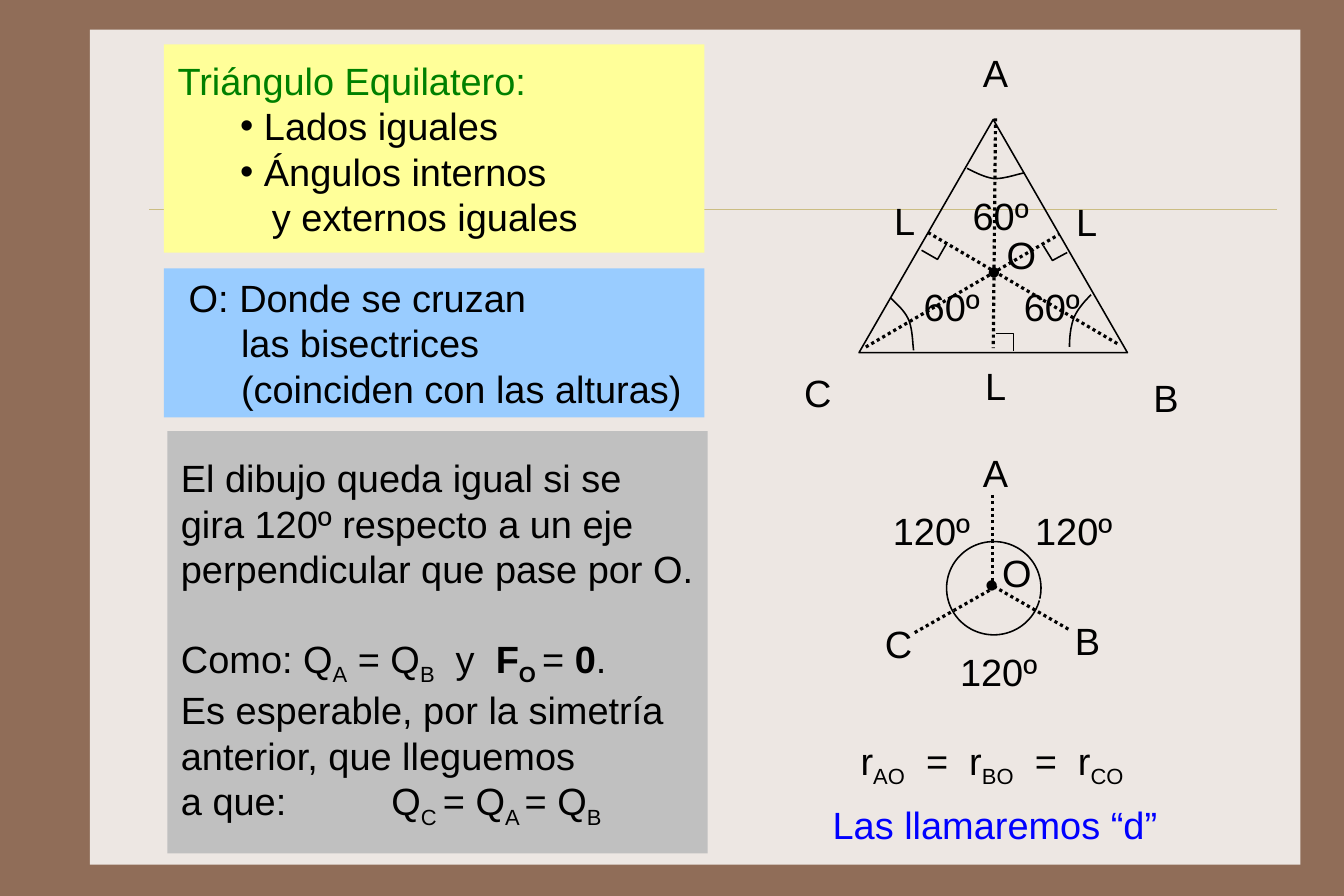
"""Build the slide on the symmetry of the equilateral triangle."""
from dataclasses import dataclass
from typing import NamedTuple, Optional

from lxml import etree
from pptx import Presentation, util as u
from pptx.dml.color import RGBColor
from pptx.enum import dml, shapes, text
from pptx.oxml import ns

BLACK = "000000"
Point = tuple[float, float]


class Run(NamedTuple):
    text: str
    sub: bool = False
    bold: bool = False


@dataclass
class Line:
    runs: list[Run]
    color: str = BLACK
    indent: float = 0
    bullet: bool = False
    tab: float = 0
    before: float = 0


@dataclass
class Panel:
    left: float
    top: float
    width: float
    height: float
    fill: str
    lines: list[Line]
    margins: Point = (0.12, 0.08)
    anchor: text.MSO_ANCHOR = text.MSO_ANCHOR.MIDDLE


class Label(NamedTuple):
    text: str
    left: float
    top: float
    width: float


class Segment(NamedTuple):
    start: Point
    end: Point


class Arc(NamedTuple):
    start: Point
    controls: list[Point]


def rgb(color: str) -> RGBColor:
    return RGBColor.from_string(color)


def outline(shape, color: str = BLACK, width: float = 1) -> None:
    shape.line.color.rgb = rgb(color)
    shape.line.width = u.Pt(width)


def add_preset(slide, kind, left, top, width, height, fill: Optional[str] = None):
    shape = slide.shapes.add_shape(kind, *map(u.Inches, (left, top, width, height)))
    shape.shadow.inherit = False
    if fill:
        shape.fill.solid()
        shape.fill.fore_color.rgb = rgb(fill)
        shape.line.fill.background()
    else:
        shape.fill.background()
        outline(shape)
    return shape


def add_line(slide, segment: Segment, color: str = BLACK, width: float = 2, dotted: bool = True) -> None:
    points = map(u.Inches, (*segment.start, *segment.end))
    connector = slide.shapes.add_connector(shapes.MSO_CONNECTOR.STRAIGHT, *points)
    outline(connector, color, width)
    if dotted:
        connector.line.dash_style = dml.MSO_LINE.ROUND_DOT
    etree.SubElement(connector._element.spPr, ns.qn("a:effectLst"))


def add_polyline(slide, points: list[Point]) -> None:
    start, *rest = [(u.Inches(x), u.Inches(y)) for x, y in points]
    builder = slide.shapes.build_freeform(*start)
    builder.add_line_segments(rest, close=False)
    shape = builder.convert_to_shape()
    shape.shadow.inherit = False
    shape.fill.background()
    outline(shape)


def curve_points(arc: Arc, steps: int = 10) -> list[Point]:
    points = [arc.start]
    for i in range(0, len(arc.controls), 3):
        knots = [points[-1], *arc.controls[i:i + 3]]
        for t in (step / steps for step in range(1, steps + 1)):
            weights = ((1 - t) ** 3, 3 * t * (1 - t) ** 2, 3 * t * t * (1 - t), t ** 3)
            x, y = (sum(w * knot[axis] for w, knot in zip(weights, knots)) for axis in (0, 1))
            points.append((x, y))
    return points


def write_text(shape, lines: list[Line], *, align=text.PP_ALIGN.LEFT, anchor=text.MSO_ANCHOR.TOP,
               margins: Point = (0.1, 0.05), wrap: bool = True) -> None:
    frame = shape.text_frame
    frame.word_wrap = wrap
    frame.vertical_anchor = anchor
    frame.margin_left = frame.margin_right = u.Inches(margins[0])
    frame.margin_top = frame.margin_bottom = u.Inches(margins[1])
    for index, line in enumerate(lines):
        paragraph = frame.add_paragraph() if index else frame.paragraphs[0]
        properties = paragraph._p.get_or_add_pPr()
        if line.indent:
            properties.set("marL", str(u.Inches(line.indent)))
            properties.set("indent", str(u.Inches(-0.21 if line.bullet else 0)))
        if line.bullet:
            etree.SubElement(properties, ns.qn("a:buFont"), typeface="Arial")
            etree.SubElement(properties, ns.qn("a:buChar"), char="•")
        if line.tab:
            tabs = etree.SubElement(properties, ns.qn("a:tabLst"))
            etree.SubElement(tabs, ns.qn("a:tab"), pos=str(u.Inches(line.tab)), algn="l")
        paragraph.alignment = align
        paragraph.space_before = u.Pt(line.before)
        for item in line.runs:
            run = paragraph.add_run()
            run.text = item.text
            run.font.name, run.font.size, run.font.bold = "Arial", u.Pt(24), item.bold
            run.font.color.rgb = rgb(line.color)
            if item.sub:
                run._r.get_or_add_rPr().set("baseline", "-25000")


def add_text(slide, content: list[Line], left, top, width, height, **text_format) -> None:
    box = slide.shapes.add_textbox(*map(u.Inches, (left, top, width, height)))
    write_text(box, content, **text_format)


def plain(content: str, **line_format) -> Line:
    return Line([Run(content)], **line_format)


PANELS = [
    Panel(1.44, 0.39, 4.75, 1.83, "FFFF99", [
        plain("Triángulo Equilatero:", color="008000"),
        plain("Lados iguales", indent=0.76, bullet=True),
        plain("Ángulos internos", indent=0.76, bullet=True),
        plain("y externos iguales", indent=0.83)]),
    Panel(1.44, 2.36, 4.75, 1.31, "99CCFF", [
        plain("O: Donde se cruzan", indent=0.12),
        plain("las bisectrices", indent=0.58),
        plain("(coinciden con las alturas)", indent=0.58)],
        margins=(0.1, 0.05), anchor=text.MSO_ANCHOR.TOP),
    Panel(1.47, 3.79, 4.75, 3.71, "C0C0C0", [
        plain("El dibujo queda igual si se gira 120º respecto a un eje perpendicular que pase por O."),
        Line([Run("Como: Q"), Run("A", sub=True), Run(" = Q"), Run("B", sub=True), Run("  y  "),
              Run("F", bold=True), Run("O ", sub=True, bold=True), Run("= "),
              Run("0", bold=True), Run(".")], before=27.6),
        plain("Es esperable, por la simetría anterior, que lleguemos"),
        Line([Run("a que:\tQ"), Run("C ", sub=True), Run("= Q"), Run("A ", sub=True),
              Run("= Q"), Run("B", sub=True)], tab=1.85)],
        margins=(0.12, 0.24)),
]
BISECTORS = [
    Segment((8.75, 1.04), (8.73, 3.06)), Segment((9.82, 3.02), (8.15, 2.04)),
    Segment((7.61, 3.05), (9.31, 2.06)),
]
RADII = [
    Segment((8.72, 4.35), (8.72, 5.14)), Segment((9.39, 5.53), (8.71, 5.14)),
    Segment((8.04, 5.56), (8.73, 5.17)),
]
ANGLE_ARCS = [
    Arc((7.83, 2.62), [(7.89, 2.68), (7.96, 2.74), (7.99, 2.82), (8.02, 2.9), (8.02, 2.99), (8.03, 3.08)]),
    Arc((9.59, 2.59), [(9.53, 2.65), (9.47, 2.72), (9.44, 2.79), (9.41, 2.87), (9.4, 2.96), (9.4, 3.05)]),
    Arc((8.5, 1.48), [(8.58, 1.52), (8.66, 1.56), (8.74, 1.57), (8.83, 1.57), (8.91, 1.54), (9, 1.52)]),
]
RIGHT_ANGLES = [
    [(8.75, 2.93), (8.91, 2.93), (8.91, 3.09)],
    [(8.32, 2.14), (8.24, 2.28), (8.1, 2.2)],
    [(9.17, 2.16), (9.25, 2.29), (9.38, 2.22)],
]
LABELS = [
    Label("A", 8.54, 0.39, 0.43), Label("B", 10.04, 3.24, 0.43), Label("C", 6.97, 3.2, 0.45),
    Label("L", 7.76, 1.69, 0.4), Label("L", 9.36, 1.7, 0.4), Label("L", 8.56, 3.14, 0.4),
    Label("60º", 8.02, 2.44, 0.72), Label("60º", 8.45, 1.64, 0.72), Label("60º", 8.9, 2.44, 0.72),
    Label("O", 8.75, 1.99, 0.47), Label("•", 8.58, 2.13, 0.33),
    Label("A", 8.54, 3.9, 0.43), Label("B", 9.35, 5.38, 0.43), Label("C", 7.68, 5.41, 0.45),
    Label("120º", 7.75, 4.41, 0.9), Label("120º", 8.34, 5.65, 0.9), Label("120º", 9, 4.41, 0.9),
    Label("O", 8.71, 4.78, 0.47), Label("•", 8.56, 4.88, 0.33),
]
RADII_EQUATION = Line([Run("r"), Run("AO", sub=True), Run("  =  r"), Run("BO", sub=True),
                       Run("  =  r"), Run("CO", sub=True)])


def main() -> None:
    presentation = Presentation()
    presentation.slide_width, presentation.slide_height = u.Pt(850.5), u.Pt(567)
    slide = presentation.slides.add_slide(presentation.slide_layouts[6])
    slide.background.fill.solid()
    slide.background.fill.fore_color.rgb = rgb("906D58")
    kinds = shapes.MSO_SHAPE
    add_preset(slide, kinds.RECTANGLE, 0.79, 0.26, 10.64, 7.34, "EDE7E3")
    add_line(slide, Segment((1.31, 1.84), (11.22, 1.84)), "CBBD83", 0.25, dotted=False)
    for segment in BISECTORS + RADII:
        add_line(slide, segment)
    add_preset(slide, kinds.ISOSCELES_TRIANGLE, 7.55, 1.05, 2.36, 2.05)
    for points in [*map(curve_points, ANGLE_ARCS), *RIGHT_ANGLES]:
        add_polyline(slide, points)
    turn = add_preset(slide, kinds.ARC, 8.32, 4.76, 0.83, 0.82)
    for index, degrees in enumerate((15.02, 12.81)):
        turn.adjustments[index] = degrees * 0.6
    for panel in PANELS:
        shape = add_preset(slide, kinds.RECTANGLE, panel.left, panel.top, panel.width, panel.height, panel.fill)
        write_text(shape, panel.lines, margins=panel.margins, anchor=panel.anchor)
    for label in LABELS:
        add_text(slide, [plain(label.text)], label.left, label.top, label.width, 0.43, wrap=False)
    add_text(slide, [RADII_EQUATION], 7.19, 6.43, 3.06, 0.51, align=text.PP_ALIGN.CENTER)
    add_text(slide, [plain("Las llamaremos “d”", color="0000FF")], 7.22, 7, 3.06, 0.51)
    presentation.save("out.pptx")


if __name__ == "__main__":
    main()
